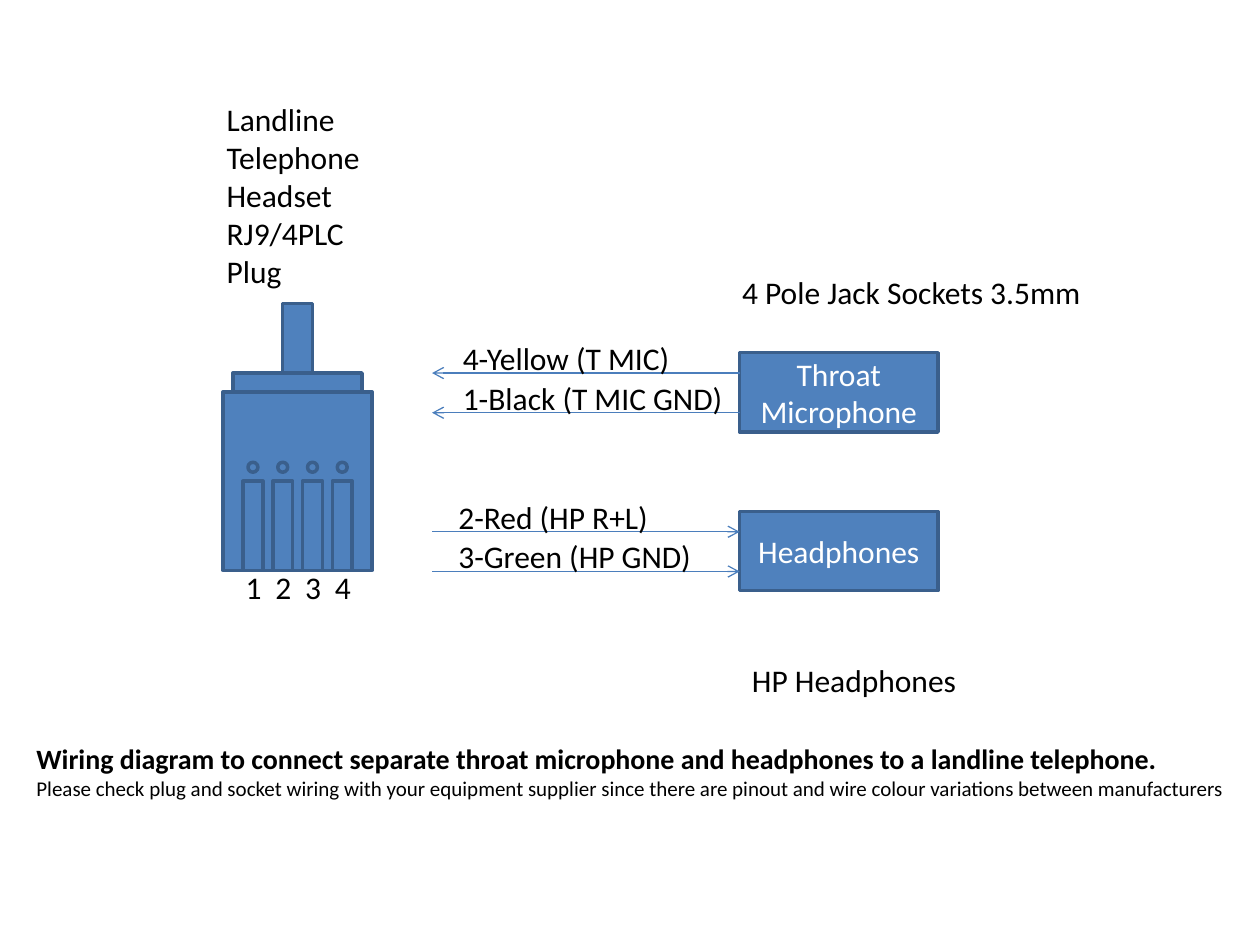
import pptx
import pptx.util
import pptx.dml.color
import pptx.enum.shapes
import pptx.enum.text
import lxml.etree
import pptx.oxml.ns

Cm, Pt = pptx.util.Cm, pptx.util.Pt
SHAPE = pptx.enum.shapes.MSO_SHAPE
ALIGN = pptx.enum.text.PP_ALIGN
ANCHOR = pptx.enum.text.MSO_ANCHOR
FIT = pptx.enum.text.MSO_AUTO_SIZE
FONT = "Calibri"
HUES = {"fill": "4F81BD", "edge": "3A5F8C", "wire": "4B7EBC",
        "ink": "000000", "white": "FFFFFF"}


def hue(name):
    """Return a named colour."""
    return pptx.dml.color.RGBColor.from_string(HUES[name])


def sub(parent, tag, **attrs):
    """Add a DrawingML child element."""
    return lxml.etree.SubElement(parent, pptx.oxml.ns.qn(tag), attrs)


def write(frame, lines, size=18, color="ink", align=ALIGN.LEFT):
    """Write each line as a paragraph holding one run."""
    for i, line in enumerate(lines):
        para = frame.paragraphs[0] if i == 0 else frame.add_paragraph()
        para.alignment = align
        run = para.add_run()
        run.text = line
        run.font.name, run.font.size = FONT, Pt(size)
        run.font.color.rgb = hue(color)


def label(slide, lines, x, y, w, h=1.02, wrap=True):
    """Place a text box and return its frame."""
    box = slide.shapes.add_textbox(Cm(x), Cm(y), Cm(w), Cm(h))
    frame = box.text_frame
    frame.word_wrap = wrap
    frame.auto_size = FIT.SHAPE_TO_FIT_TEXT
    write(frame, lines)
    return frame


def block(slide, x, y, w, h, kind=SHAPE.RECTANGLE):
    """Place a blue outlined shape."""
    part = slide.shapes.add_shape(kind, Cm(x), Cm(y), Cm(w), Cm(h))
    part.shadow.inherit = False
    part.fill.solid()
    part.fill.fore_color.rgb = hue("fill")
    part.line.color.rgb = hue("edge")
    part.line.width = Pt(2)
    return part


def wire(slide, start, end, y):
    """Draw a level arrow from start to end."""
    line = slide.shapes.add_connector(
        pptx.enum.shapes.MSO_CONNECTOR.STRAIGHT,
        Cm(start), Cm(y), Cm(end), Cm(y))
    line.line.color.rgb = hue("wire")
    line.line.width = Pt(0.75)
    sub(line.line._get_or_add_ln(), "a:tailEnd", type="arrow")
    sub(line._element.spPr, "a:effectLst")


def plug(slide, x, y):
    """Draw the plug with its body's corner at x, y."""
    pins, pitch = 4, 0.6
    block(slide, x, y, 3, 3.6)
    for i in range(pins):
        block(slide, x + 0.4 + i * pitch, y + 1.8, 0.4, 1.8)
    block(slide, x + 1.2, y - 1.78, 0.6, 1.78)
    block(slide, x + 0.2, y - 0.38, 2.6, 0.38)
    for i in range(pins):
        block(slide, x + 0.5 + i * pitch, y + 1.42, 0.2, 0.2, SHAPE.OVAL)
    row = "\t".join(str(i + 1) for i in range(pins))
    frame = label(slide, [row], x + 0.2, y + 3.43, 2.8)
    stops = sub(frame.paragraphs[0]._p.get_or_add_pPr(), "a:tabLst")
    for i in range(1, pins):
        sub(stops, "a:tab", pos=str(Cm(i * pitch)), algn="l")
    label(slide, ["Landline", "Telephone", "Headset", "RJ9/4PLC", "Plug"],
          x - 0.18, y - 6, 3.38, 4.11, wrap=False)


def socket(slide, x, y, name, wires, inset, inward):
    """Draw a socket at x, y and its two labelled wires."""
    part = block(slide, x, y, 4, 1.6)
    part.text_frame.word_wrap = True
    part.text_frame.vertical_anchor = ANCHOR.MIDDLE
    write(part.text_frame, [name], color="white", align=ALIGN.CENTER)
    far = x - 6.2
    for i, text in enumerate(wires):
        level = y + 0.41 + i * 0.8
        ends = (far, x) if inward else (x, far)
        wire(slide, *ends, level)
        label(slide, [text], far + inset, level - 0.81, 5.92)


def caption(slide, x, y, w, h):
    """Set the title and its note in the title placeholder."""
    title = slide.shapes.title
    title.left, title.top, title.width, title.height = map(Cm, (x, y, w, h))
    frame = title.text_frame
    frame.word_wrap = False
    frame.auto_size = FIT.NONE
    frame.vertical_anchor = ANCHOR.TOP
    write(frame, [
        "Wiring diagram to connect separate throat microphone and "
        "headphones to a landline telephone.",
        "Please check plug and socket wiring with your equipment supplier "
        "since there are pinout and wire colour variations between "
        "manufacturers"], size=12)
    head = frame.paragraphs[0].runs[0].font
    head.size, head.bold = Pt(16), True


def main():
    """Build and save the wiring slide."""
    deck = pptx.Presentation()
    deck.slide_width, deck.slide_height = Cm(25.4), Cm(19.05)
    slide = deck.slides.add_slide(deck.slide_layouts[5])
    caption(slide, 0.48, 14.83, 25.48, 1.45)
    plug(slide, 4.5, 7.9)
    socket(slide, 14.91, 7.11, "Throat Microphone",
           ["4-Yellow (T MIC)", "1-Black (T MIC GND)"], 0.37, False)
    socket(slide, 14.91, 10.31, "Headphones",
           ["2-Red (HP R+L)", "3-Green (HP GND)"], 0.28, True)
    label(slide, ["4 Pole Jack Sockets 3.5mm"], 14.71, 5.38, 7.42, wrap=False)
    label(slide, ["HP Headphones"], 14.91, 13.21, 4.67, wrap=False)
    deck.save("out.pptx")


main()
